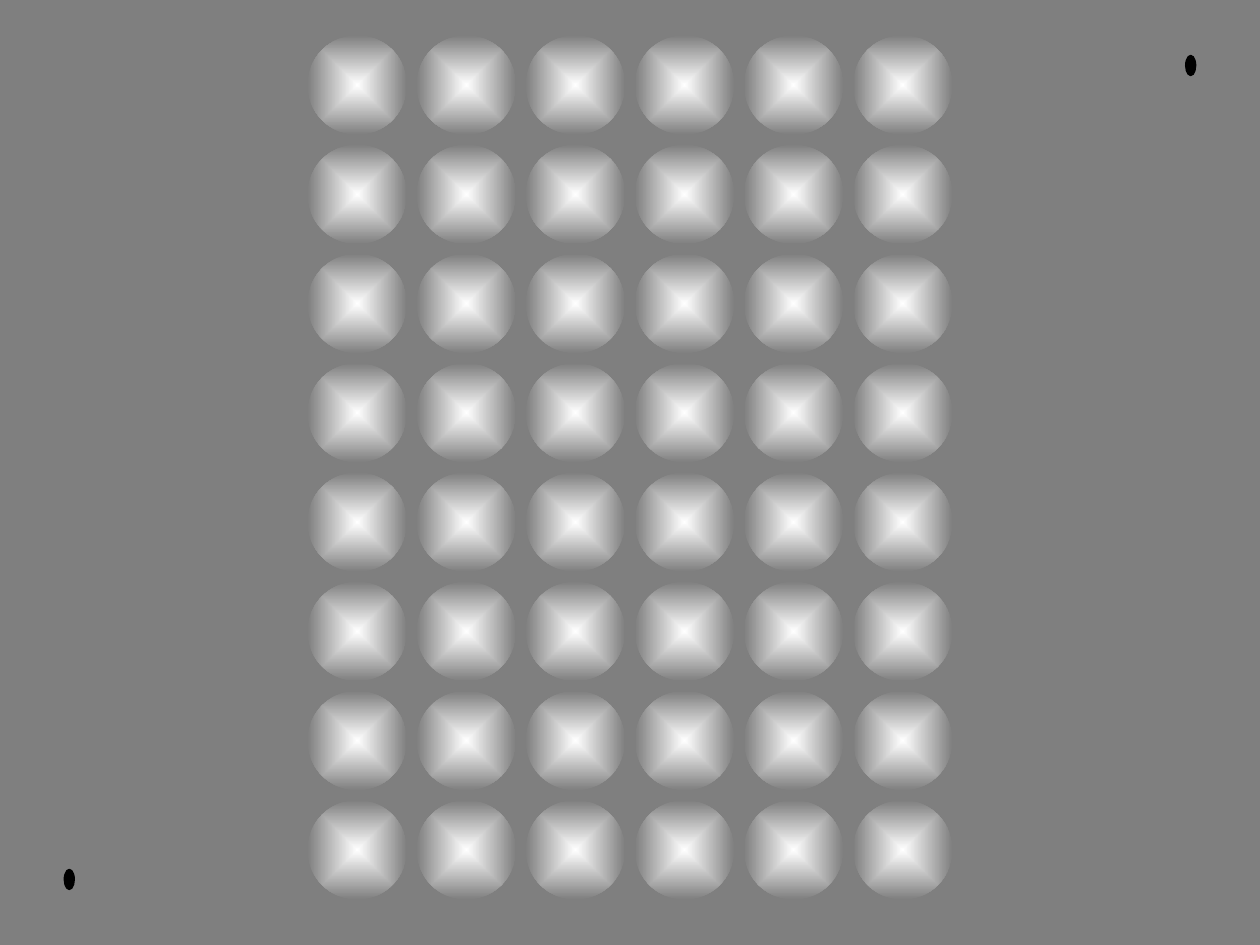
from lxml.etree import SubElement
from pptx import Presentation
from pptx.dml.color import RGBColor
from pptx.enum.shapes import MSO_SHAPE
from pptx.oxml.ns import qn
from pptx.util import Inches, Pt

GRAY = RGBColor(0x7F, 0x7F, 0x7F)
WHITE = RGBColor(0xFF, 0xFF, 0xFF)
BLACK = RGBColor(0x00, 0x00, 0x00)

COLUMNS, ROWS = 6, 8
LIGHT_SIZE = 0.79


def add_ellipse(shapes, left, top, width, height):
    ellipse = shapes.add_shape(MSO_SHAPE.OVAL, Inches(left), Inches(top),
                               Inches(width), Inches(height))
    ellipse.shadow.inherit = False
    return ellipse


def fill_glow(shape):
    """Fill with a rectangular gradient, white in the centre and gray at the rim."""
    shape.fill.gradient()
    for stop, color in zip(shape.fill.gradient_stops, (WHITE, GRAY)):
        stop.color.rgb = color
    gradient = shape._element.spPr.find(qn("a:gradFill"))
    gradient.remove(gradient.find(qn("a:lin")))
    glow = SubElement(gradient, qn("a:path"), {"path": "rect"})
    SubElement(glow, qn("a:fillToRect"), dict.fromkeys("ltrb", "50000"))


def add_light_grid(page, left, top, width, height):
    """Spread the lights evenly over the box, as one group."""
    group = page.shapes.add_group_shape()
    column_step = (width - LIGHT_SIZE) / (COLUMNS - 1)
    row_step = (height - LIGHT_SIZE) / (ROWS - 1)
    for column in range(COLUMNS):
        for row in range(ROWS):
            light = add_ellipse(group.shapes, left + column * column_step,
                                top + row * row_step, LIGHT_SIZE, LIGHT_SIZE)
            fill_glow(light)
            light.line.fill.background()


def add_dot(page, left, top, width, height):
    dot = add_ellipse(page.shapes, left, top, width, height)
    dot.fill.solid()
    dot.fill.fore_color.rgb = BLACK
    dot.line.color.rgb = BLACK
    dot.line.width = Pt(0.75)


def main():
    deck = Presentation()
    deck.slide_width, deck.slide_height = Inches(10), Inches(7.5)
    page = deck.slides.add_slide(deck.slide_layouts[6])
    page.background.fill.solid()
    page.background.fill.fore_color.rgb = GRAY

    # Grid of lights
    add_light_grid(page, 2.44, 0.28, 5.12, 6.86)

    # Corner dots
    for left, top in ((0.51, 6.9), (9.41, 0.44)):
        add_dot(page, left, top, 0.08, 0.16)

    deck.save("out.pptx")


if __name__ == "__main__":
    main()
